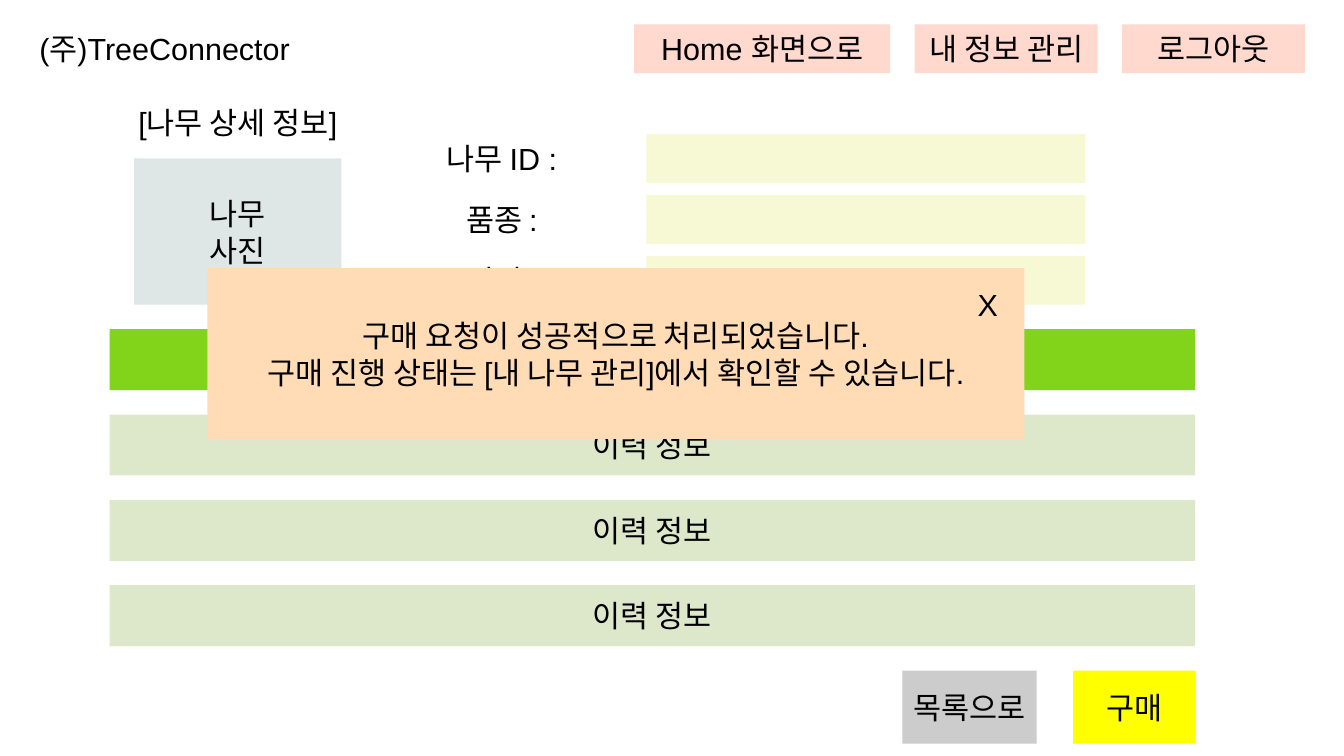
import pptx
import pptx.util
import pptx.dml.color
import pptx.enum.shapes
import pptx.enum.text

COLORS = {
    "text": "000000", "page": "FFFFFF", "menu": "FFD8CE", "photo": "DEE7E5",
    "field": "F6F9D4", "header": "81D41A", "history": "DDE8CB",
    "list": "CCCCCC", "buy": "FFFF00", "popup": "FFDBB6",
}
FONT, FONT_SIZE = "Arial", 18

# Content
COMPANY = "(주)TreeConnector"
MENU = [("Home 화면으로", 151.2), ("내 정보 관리", 108), ("로그아웃", 108)]
SECTION = "[나무 상세 정보]"
PHOTO = "나무\n사진"
DETAILS = ["나무 ID : ", "품종 : ", "지역 : "]
HISTORY = ["이력 정보", "이력 정보", "이력 정보"]
ACTIONS = [("목록으로", 532.8, 79.2, "list"), ("구매", 633.6, 72, "buy")]
MESSAGE = ("구매 요청이 성공적으로 처리되었습니다.\n"
           "구매 진행 상태는 [내 나무 관리]에서 확인할 수 있습니다.")
CLOSE = "X"

# Layout in points
MENU_LEFT, MENU_GAP = 374.4, 14.4
DETAIL_TOP, DETAIL_STEP = 79.2, 36
BAR_LEFT, BAR_TOP, BAR_WIDTH, BAR_HEIGHT, BAR_STEP = 64.8, 194.4, 640.8, 36, 50.4

deck = pptx.Presentation()
deck.slide_width = pptx.util.Pt(793.44)
deck.slide_height = pptx.util.Pt(446.4)
screen = deck.slides.add_slide(deck.slide_layouts[6])


def add_box(left, top, width, height, color, text=""):
    box = screen.shapes.add_shape(
        pptx.enum.shapes.MSO_SHAPE.RECTANGLE,
        *(pptx.util.Pt(length) for length in (left, top, width, height)))
    box.shadow.inherit = False
    box.fill.solid()
    box.fill.fore_color.rgb = pptx.dml.color.RGBColor.from_string(COLORS[color])
    box.line.fill.background()
    if not text:
        return
    frame = box.text_frame
    frame.word_wrap = False
    frame.vertical_anchor = pptx.enum.text.MSO_ANCHOR.MIDDLE
    frame.text = text
    for paragraph in frame.paragraphs:
        paragraph.alignment = pptx.enum.text.PP_ALIGN.CENTER
        for run in paragraph.runs:
            run.font.name = FONT
            run.font.size = pptx.util.Pt(FONT_SIZE)
            run.font.color.rgb = pptx.dml.color.RGBColor.from_string(COLORS["text"])


# Top bar: company and menu buttons
add_box(21.6, 7.2, 151.2, 43.2, "page", COMPANY)
menu_left = MENU_LEFT
for label, width in MENU:
    add_box(menu_left, 14.4, width, 28.8, "menu", label)
    menu_left += width + MENU_GAP

# Tree photo and details
add_box(86.4, 57.6, 108, 28.8, "page", SECTION)
add_box(79.2, 93.6, 122.4, 86.4, "photo", PHOTO)
for row, label in enumerate(DETAILS):
    top = DETAIL_TOP + row * DETAIL_STEP
    add_box(381.6, top, 259.2, 28.8, "field")
    add_box(223.2, top - 7.2, 151.2, 43.2, "page", label)

# Header bar followed by history bars
bars = [("header", "")] + [("history", entry) for entry in HISTORY]
for row, (color, label) in enumerate(bars):
    add_box(BAR_LEFT, BAR_TOP + row * BAR_STEP, BAR_WIDTH, BAR_HEIGHT, color, label)

# Action buttons
for label, left, width, color in ACTIONS:
    add_box(left, 396, width, 43.2, color, label)

# Confirmation popup with its close button
add_box(122.4, 158.4, 482.4, 100.8, "popup", MESSAGE)
add_box(568.8, 165.6, 28.8, 28.8, "popup", CLOSE)

deck.save("out.pptx")
